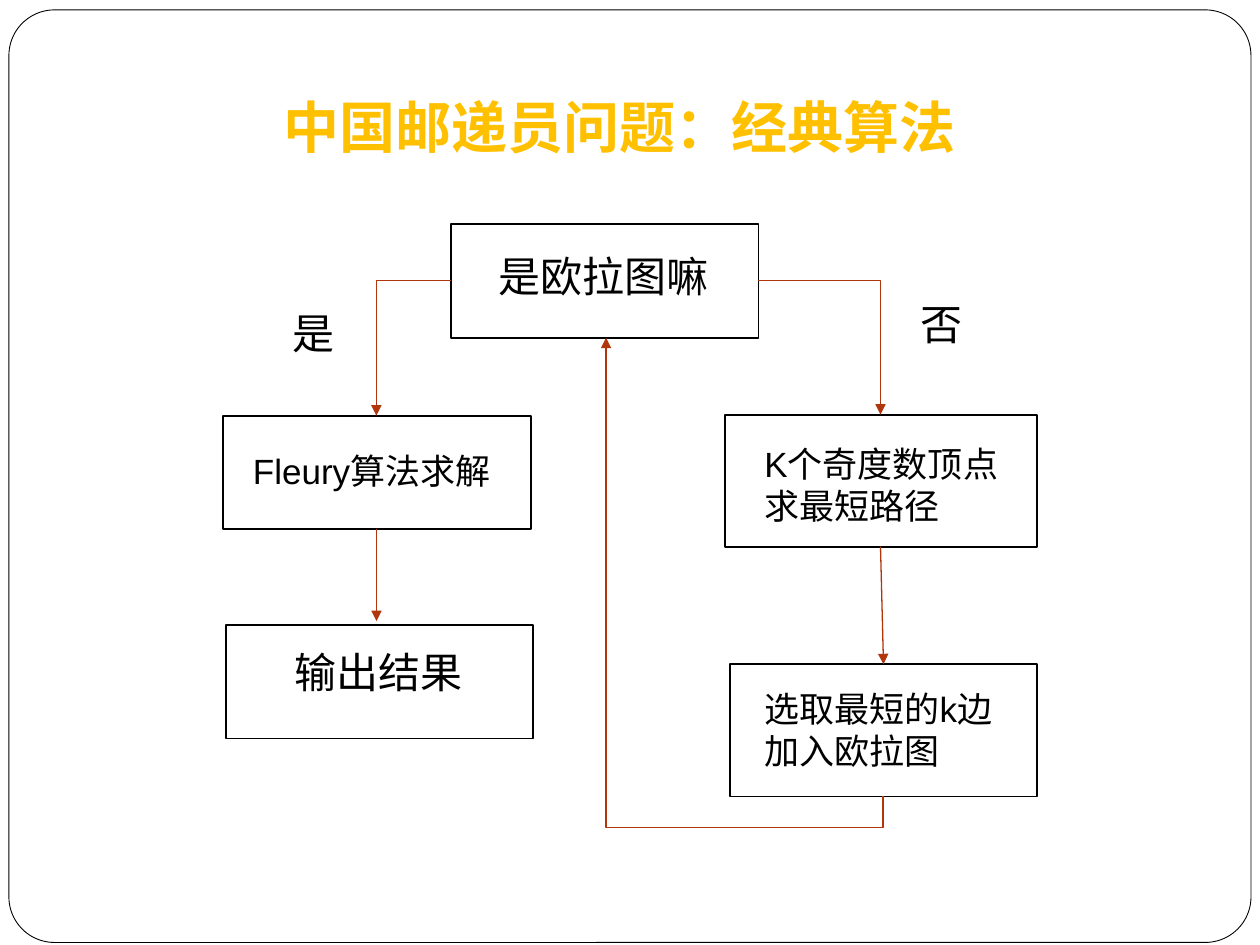
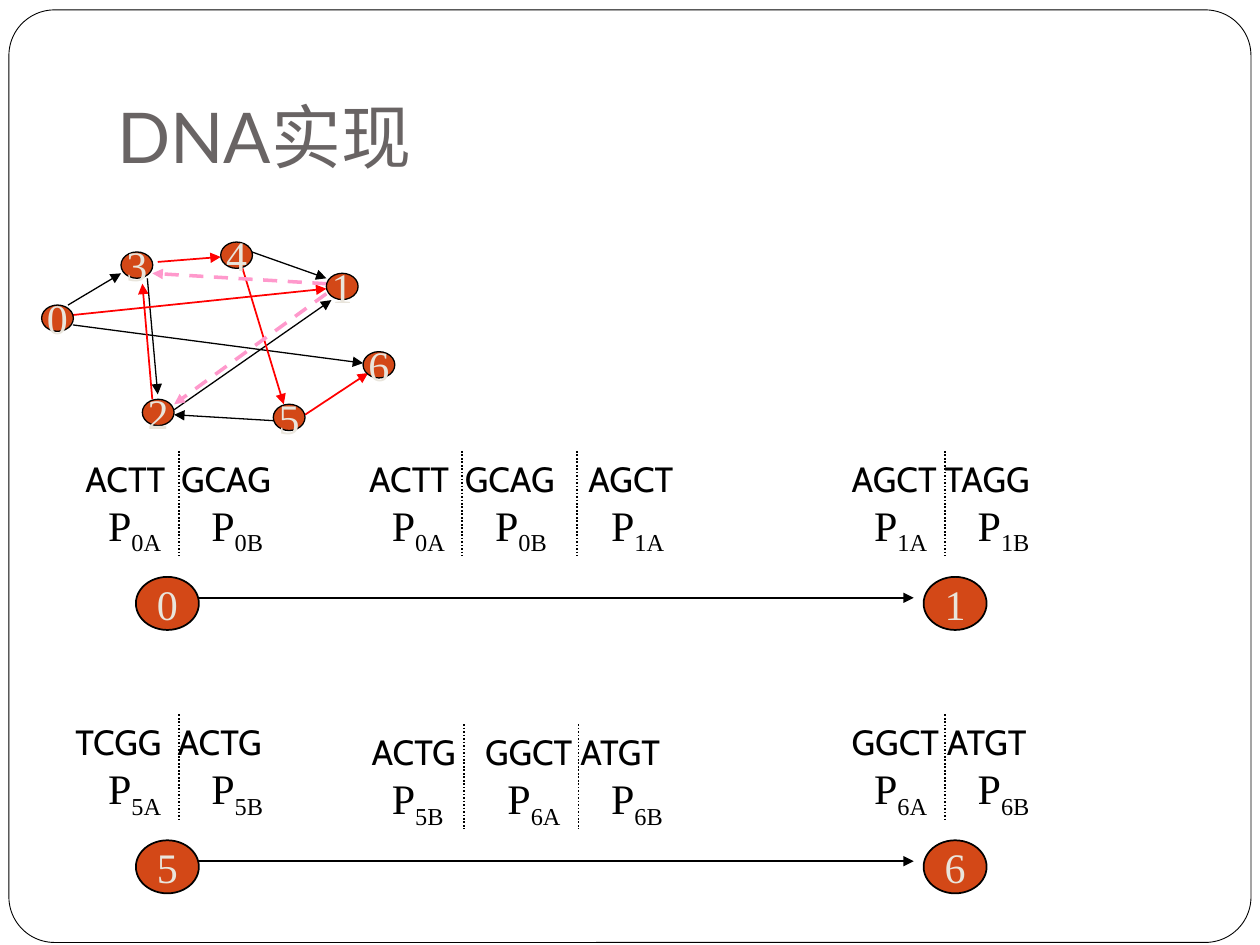
import pptx
import pptx.dml.color
import pptx.enum.dml
import pptx.enum.shapes
import pptx.enum.text
import pptx.oxml.ns
import pptx.util
import lxml.etree

Cm = pptx.util.Cm
Pt = pptx.util.Pt
rgb = pptx.dml.color.RGBColor.from_string
qn = pptx.oxml.ns.qn
SHAPE = pptx.enum.shapes.MSO_SHAPE
CONN = pptx.enum.shapes.MSO_CONNECTOR
DASH = pptx.enum.dml.MSO_LINE
ALIGN = pptx.enum.text.PP_ALIGN
ANCHOR = pptx.enum.text.MSO_ANCHOR
FIT = pptx.enum.text.MSO_AUTO_SIZE

BLACK, WHITE, RED, PINK = "000000", "FFFFFF", "FF0000", "FF99CC"
RUST, ORANGE, CREAM = "B1360B", "D34817", "E9E5DC"
body20 = {"name": "Arial", "size": Pt(20), "color": BLACK}
body24 = {**body20, "size": Pt(24)}
strand = {"name": "Cabin", "size": Pt(20), "color": BLACK}
serif = {"name": "Times New Roman", "size": Pt(24), "color": BLACK}
node = {**serif, "color": CREAM}


def write(sp, text, fmt, wrap=True, fit=FIT.NONE, anchor=ANCHOR.TOP, align=ALIGN.LEFT, sub=""):
    tf = sp.text_frame
    tf.word_wrap, tf.auto_size, tf.vertical_anchor = wrap, fit, anchor
    p = tf.paragraphs[0]
    p.alignment = align
    for part in filter(None, (text, sub)):
        r = p.add_run()
        r.text = part
        for key, value in fmt.items():
            if key == "color":
                r.font.color.rgb = rgb(value)
            else:
                setattr(r.font, key, value)
    if sub:
        r._r.get_or_add_rPr().set("baseline", "-25000")
    return p


def connect(s, points, color, width, dash=None, arrow=True, kind=CONN.STRAIGHT):
    c = s.shapes.add_connector(kind, *map(Cm, points))
    c.line.color.rgb = rgb(color)
    c.line.width = Pt(width)
    if dash:
        c.line.dash_style = dash
    if arrow:
        lxml.etree.SubElement(c.line._get_or_add_ln(), qn("a:tailEnd"), type="triangle")
    lxml.etree.SubElement(c._element.spPr, qn("a:effectLst"))
    return c


prs = pptx.Presentation()
prs.slide_width, prs.slide_height = Cm(25.4), Cm(19.05)

titles = [
    ("中国邮递员问题：经典算法", (5.46, 1.73, 14.48, 1.63),
     {"name": "Arial", "size": Pt(32), "bold": True, "color": "FFC000"}),
    ("DNA实现", (2.11, 1.75, 21.59, 3.18),
     {"name": "Lato", "size": Pt(40), "color": "696464"}),
]
slides = []
for text, box, fmt in titles:
    s = prs.slides.add_slide(prs.slide_layouts[5])
    title = s.shapes.title
    title.left, title.top, title.width, title.height = map(Cm, box)
    write(title, text, fmt)
    frame = s.shapes.add_shape(SHAPE.ROUNDED_RECTANGLE, *map(Cm, (0.18, 0.2, 25.04, 18.8)))
    frame.adjustments[0] = 0.049
    frame.shadow.inherit = False
    frame.fill.solid()
    frame.fill.fore_color.rgb = rgb(WHITE)
    frame.line.color.rgb = rgb(BLACK)
    frame.line.width = Pt(0.5)
    title._element.addprevious(frame._element)
    slides.append(s)
flow, dna = slides

steps = [
    (9.09, 4.52, 6.2, 2.29),
    (4.5, 8.38, 6.2, 2.29),
    (14.61, 8.36, 6.3, 2.67),
    (14.71, 13.39, 6.2, 2.67),
    (4.55, 12.6, 6.2, 2.29),
]
for box in steps:
    sp = flow.shapes.add_shape(SHAPE.RECTANGLE, *map(Cm, box))
    sp.shadow.inherit = False
    sp.fill.background()
    sp.line.color.rgb = rgb(BLACK)
    sp.line.width = Pt(1)

captions = [
    ("是欧拉图嘛", (9.8, 4.93, 4.8, 1.27), body24),
    ("Fleury算法求解", (4.85, 8.94, 5.51, 1.12), body20),
    ("K个奇度数顶点求最短路径", (15.16, 8.79, 5.59, 1.96), body20),
    ("选取最短的k边加入欧拉图", (15.16, 13.74, 5.41, 1.96), body20),
    ("输出结果", (5.69, 12.9, 4.8, 1.27), body24),
    ("是", (5.64, 6.07, 2.01, 1.27), body24),
    ("否", (18.31, 5.89, 2.01, 1.27), body24),
]
for text, box, fmt in captions:
    write(flow.shapes.add_textbox(*map(Cm, box)), text, fmt, fit=FIT.SHAPE_TO_FIT_TEXT)

for points in [(9.09, 5.66, 7.59, 8.38), (15.29, 5.66, 17.75, 8.36)]:
    branch = connect(flow, points, RUST, 0.75, kind=CONN.ELBOW)
    branch._element.spPr.find(qn("a:prstGeom")).set("prst", "bentConnector2")
for points in [(7.59, 10.67, 7.59, 12.52), (17.75, 11.02, 17.81, 13.39)]:
    connect(flow, points, RUST, 0.75)
back = connect(flow, (19.63, 8.64, 10.39, 14.22), RUST, 0.75, kind=CONN.ELBOW)
back._element.spPr.find(qn("a:xfrm")).set("rot", "5400000")
guides = back._element.spPr.find(qn("a:prstGeom")).find(qn("a:avLst"))
lxml.etree.SubElement(guides, qn("a:gd"), name="adj1", fmla="val -6900")

edge_styles = [
    (BLACK, 0.75, None, [
        (1.37, 6.15, 2.44, 5.51), (5.08, 5.08, 6.58, 5.61), (2.97, 5.61, 3.18, 7.95),
        (1.47, 6.55, 7.32, 7.32), (3.51, 8.26, 6.68, 6.05), (5.51, 8.48, 3.51, 8.36)]),
    (RED, 1, None, [
        (3.18, 5.28, 4.45, 5.18), (1.47, 6.35, 6.58, 5.82), (3.07, 8.05, 2.87, 5.72),
        (4.88, 5.38, 5.72, 8.15), (6.15, 8.36, 7.42, 7.52)]),
    (PINK, 2, DASH.DASH, [(6.58, 5.72, 3.07, 5.51), (6.58, 5.92, 3.51, 8.15)]),
]
for color, width, dash, edges in edge_styles:
    for points in edges:
        connect(dna, points, color, width, dash)

small, large = (0.64, 0.53, 0.75), (1.27, 1.07, 1)
nodes = [
    ("0", 0.84, 6.15, small), ("1", 6.58, 5.51, small), ("2", 2.87, 8.05, small),
    ("3", 2.44, 5.08, small), ("4", 4.45, 4.88, small), ("5", 5.51, 8.15, small),
    ("6", 7.32, 7.09, small),
    ("0", 2.74, 11.63, large), ("1", 18.62, 11.63, large),
    ("5", 2.74, 16.94, large), ("6", 18.62, 16.94, large),
]
for text, x, y, (w, h, weight) in nodes:
    sp = dna.shapes.add_shape(SHAPE.OVAL, *map(Cm, (x, y, w, h)))
    sp.shadow.inherit = False
    sp.fill.solid()
    sp.fill.fore_color.rgb = rgb(ORANGE)
    sp.line.color.rgb = rgb(BLACK)
    sp.line.width = Pt(weight)
    write(sp, text, node, wrap=False, anchor=ANCHOR.MIDDLE, align=ALIGN.CENTER)

row_tops = (9.09, 14.4)
for top in row_tops:
    connect(dna, (4.01, top + 2.96, 18.42, top + 2.96), BLACK, 1)

strands = [
    (0, 0, [("ACTT\tGCAG", 1.47, 4.42, 1.93)], [("0A", 1.93), ("0B", 4.01)], [3.61]),
    (0, 0, [("ACTT\tGCAG", 7.19, 4.42, 1.93), ("AGCT", 11.61, 2.24, 0)],
     [("0A", 7.65), ("0B", 9.73), ("1A", 12.07)], [9.32, 11.63]),
    (0, 0, [("AGCT TAGG", 16.92, 4.24, 0)], [("1A", 17.37), ("1B", 19.46)], [19.05]),
    (1, 0, [("TCGG\tACTG", 1.27, 4.47, 2.06)], [("5A", 1.93), ("5B", 4.01)], [3.61]),
    (1, 0.2, [("ACTG", 7.24, 2.24, 0), ("GGCT ATGT", 9.53, 4.22, 0)],
     [("5B", 7.65), ("6A", 9.98), ("6B", 12.07)], [9.35, 11.66]),
    (1, 0, [("GGCT ATGT", 16.92, 4.22, 0)], [("6A", 17.37), ("6B", 19.46)], [19.05]),
]
for row, drop, words, labels, dividers in strands:
    y = row_tops[row] + drop
    for text, x, w, tab in words:
        sp = dna.shapes.add_textbox(*map(Cm, (x, y, w, 1.09)))
        p = write(sp, text, strand, wrap=bool(tab), fit=FIT.SHAPE_TO_FIT_TEXT)
        if tab:
            stops = lxml.etree.SubElement(p._p.get_or_add_pPr(), qn("a:tabLst"))
            lxml.etree.SubElement(stops, qn("a:tab"), pos=str(Cm(tab)), algn="l")
    for sub, x in labels:
        sp = dna.shapes.add_textbox(*map(Cm, (x, y + 0.85, 1.67, 1.27)))
        write(sp, "P", serif, wrap=False, fit=FIT.SHAPE_TO_FIT_TEXT, sub=sub)
    for x in dividers:
        connect(dna, (x, y, x, y + 2.12), BLACK, 1, DASH.ROUND_DOT, arrow=False)

prs.save("out.pptx")
